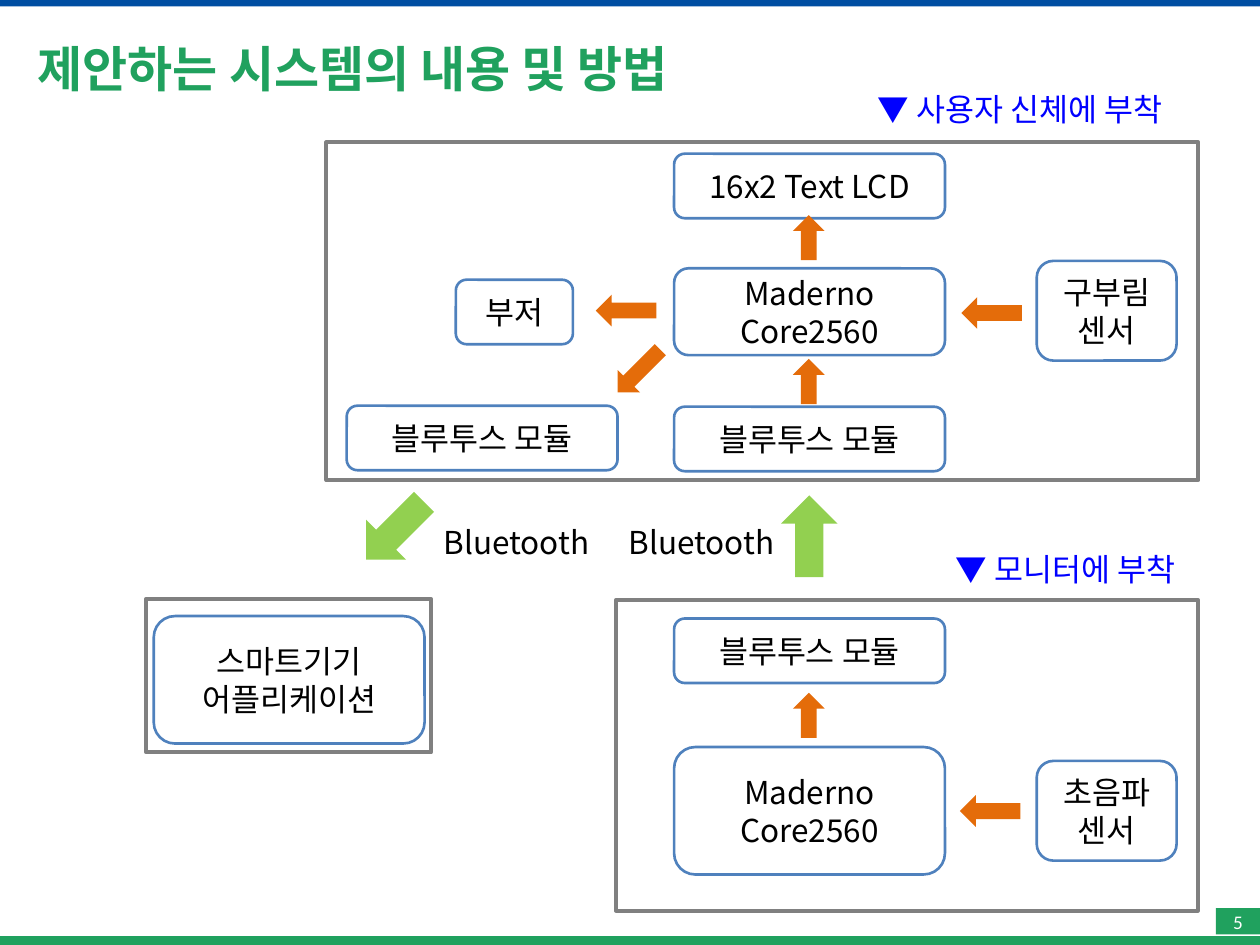
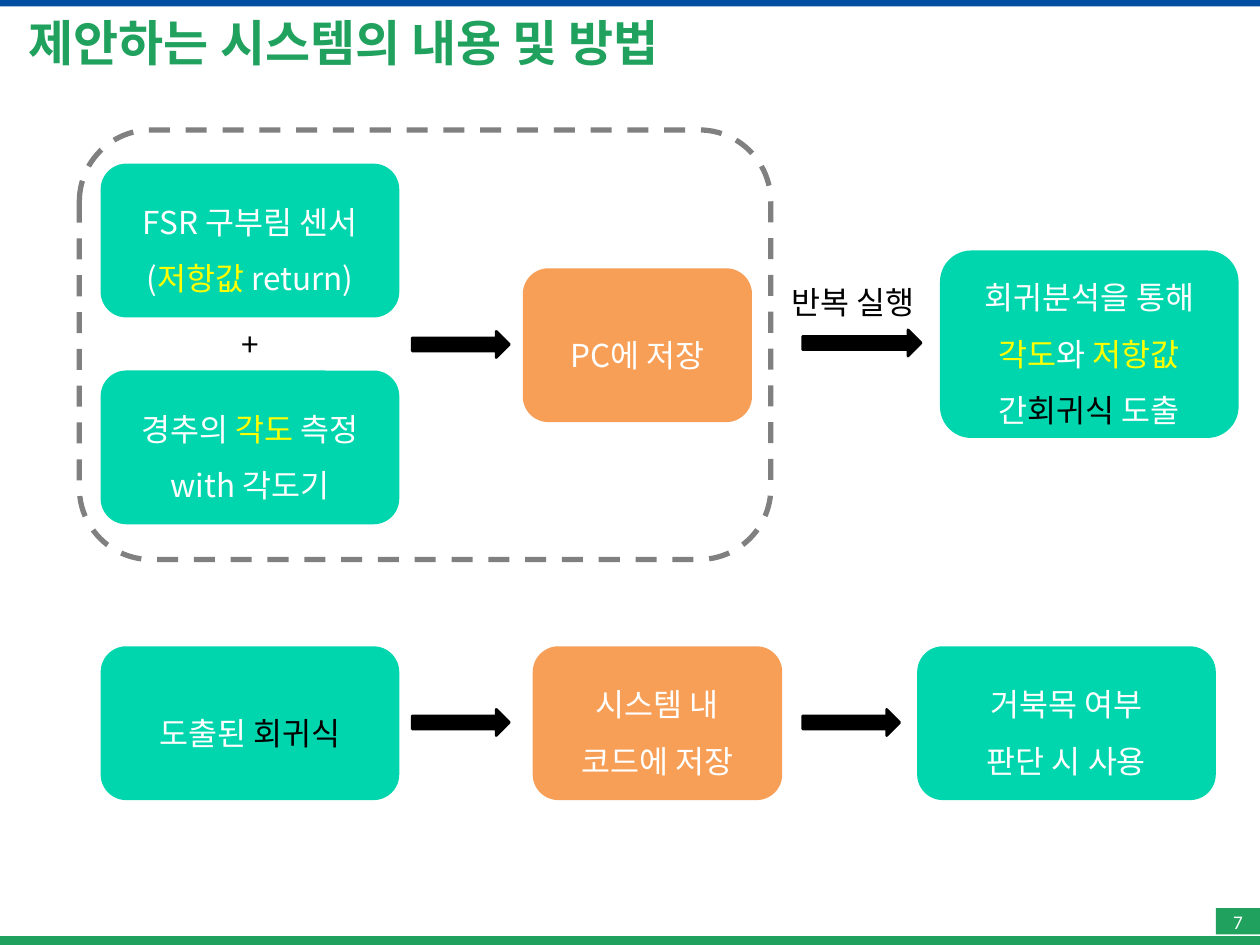
from pptx import Presentation
from pptx.dml.color import RGBColor
from pptx.enum.dml import MSO_LINE
from pptx.enum.shapes import MSO_SHAPE
from pptx.enum.text import MSO_ANCHOR, PP_ALIGN
from pptx.oxml.ns import qn
from pptx.util import Cm, Pt
from lxml.etree import SubElement

# Shared look
GREEN, NAVY, GRAY, BLUE = "20A15E", "004EA2", "808080", "4F81BD"
ORANGE, LIME, TEAL, PEACH = "E46C0A", "92D050", "00D6AD", "F79F57"
WHITE, BLACK, YELLOW, LABEL_BLUE = "FFFFFF", "000000", "FFFF00", "0000FF"
BODY_FONT, TITLE_FONT = "Noto Sans CJK KR", "Calibri"
TITLE = "제안하는 시스템의 내용 및 방법"
WIDTH, HEIGHT = 25.4, 19.05
LEFT, UP, DOWN_LEFT = 180, 270, 135


def color(value):
    return RGBColor.from_string(value)


def set_all(target, values):
    for name, value in values.items():
        setattr(target, name, value)


def place(shape, left, top, width, height):
    set_all(shape, {"left": Cm(left), "top": Cm(top),
                    "width": Cm(width), "height": Cm(height)})


def write(frame, paras, ink=BLACK, size=18, font=BODY_FONT, bold=False,
          align=PP_ALIGN.CENTER, spacing=None):
    """Each paragraph is a string or a list of strings and (string, colour) pairs."""
    for index, spans in enumerate(paras):
        para = frame.paragraphs[0] if index == 0 else frame.add_paragraph()
        set_all(para, {"alignment": align, "line_spacing": spacing})
        for span in [spans] if isinstance(spans, str) else spans:
            text, span_ink = (span, ink) if isinstance(span, str) else span
            for number, line in enumerate(text.split("\n")):
                if number:
                    para.add_line_break()
                run = para.add_run()
                run.text = line
                set_all(run.font, {"name": font, "size": Pt(size), "bold": bold})
                run.font.color.rgb = color(span_ink)
                latin = run.font._element.find(qn("a:latin"))
                east_asian = SubElement(run.font._element, qn("a:ea"), typeface=BODY_FONT)
                latin.addnext(east_asian)


def add_box(page, area, kind=MSO_SHAPE.RECTANGLE, fill=None, line=None, weight=1.5):
    box = page.shapes.add_shape(kind, *map(Cm, area))
    box.shadow.inherit = False
    if fill:
        box.fill.solid()
        box.fill.fore_color.rgb = color(fill)
    else:
        box.fill.background()
    if line:
        box.line.color.rgb = color(line)
        box.line.width = Pt(weight)
    else:
        box.line.fill.background()
    return box


def add_frame(page, *area):
    add_box(page, area, line=GRAY, weight=2.25)


def add_text_box(page, area, paras, fill=WHITE, line=BLUE, **style):
    box = add_box(page, area, MSO_SHAPE.ROUNDED_RECTANGLE, fill, line)
    set_all(box.text_frame, {"word_wrap": True, "vertical_anchor": MSO_ANCHOR.MIDDLE})
    write(box.text_frame, paras, **style)


def add_step(page, area, paras, fill=TEAL):
    add_text_box(page, area, paras, fill, None, ink=WHITE, spacing=1.5)


def add_arrow(page, area, fill, turn=0, line=None):
    add_box(page, area, MSO_SHAPE.RIGHT_ARROW, fill, line).rotation = turn


def add_label(page, area, text, ink=BLACK):
    frame = page.shapes.add_textbox(*map(Cm, area)).text_frame
    frame.word_wrap = True
    write(frame, [text], ink=ink, align=PP_ALIGN.LEFT)


def add_page(deck, number, title_left, title_top):
    page = deck.slides.add_slide(deck.slide_layouts[5])
    # Bands
    add_box(page, (0, 18.87, WIDTH, 0.18), fill=GREEN)
    add_box(page, (0, 0, WIDTH, 0.13), fill=NAVY)
    # Title
    title = page.shapes.title
    place(title, title_left, title_top, 24.41, 1.7)
    title.text_frame.vertical_anchor = MSO_ANCHOR.MIDDLE
    write(title.text_frame, [TITLE], GREEN, 28, TITLE_FONT, True, PP_ALIGN.LEFT)
    # Page number
    tab = add_box(page, (24.51, 18.31, 0.89, 0.53), fill=GREEN)
    set_all(tab.text_frame, {"margin_left": 0, "margin_right": 0, "margin_top": 0,
                             "margin_bottom": 0, "vertical_anchor": MSO_ANCHOR.MIDDLE})
    write(tab.text_frame, [str(number)], WHITE, 11, TITLE_FONT)
    return page


def build_system(deck):
    page = add_page(deck, 5, 0.51, 0.51)
    module_left, module_width, module_height = 13.59, 5.46, 1.3
    board = ["Maderno\nCore2560"]
    module = ["블루투스 모듈"]

    # Frames of the three devices
    add_frame(page, 6.58, 2.87, 17.58, 6.81)
    add_frame(page, 12.42, 12.09, 11.73, 6.27)
    add_frame(page, 2.95, 12.07, 5.74, 3.1)

    # Central column
    for top, height, paras in (
            (3.1, module_height, ["16x2 Text LCD"]), (5.41, 1.75, board),
            (8.2, module_height, module), (12.47, module_height, module),
            (15.06, 2.57, board)):
        add_text_box(page, (module_left, top, module_width, height), paras)

    # Sensors, buzzer, second module and application
    for top, name in ((5.26, "구부림"), (15.34, "초음파")):
        add_text_box(page, (20.9, top, 2.82, 2.01), [name, "센서"])
    add_text_box(page, (9.19, 5.64, 2.36, module_height), ["부저"])
    add_text_box(page, (6.99, 8.18, module_width, module_height), module)
    add_text_box(page, (3.1, 12.42, module_width, 2.57), ["스마트기기", "어플리케이션"])

    # Wired signals
    for top in (4.47, 7.37, 14.1):
        add_arrow(page, (15.85, top, 0.91, 0.64), ORANGE, UP)
    for left, top, turn in ((19.38, 5.99, LEFT), (12.01, 5.94, LEFT),
                            (19.35, 16.03, LEFT), (12.27, 7.16, DOWN_LEFT)):
        add_arrow(page, (left, top, 1.22, 0.64), ORANGE, turn)

    # Wireless signals
    for left, top, turn, label_left in ((15.49, 10.24, UP, 12.42),
                                        (7.14, 10.13, DOWN_LEFT, 8.69)):
        add_arrow(page, (left, top, 1.65, 1.14), LIME, turn)
        add_label(page, (label_left, 10.41, 3.66, 1.02), "Bluetooth")

    # Where each device is attached
    add_label(page, (17.45, 1.7, 6.73, 1.02), "▼ 사용자 신체에 부착", LABEL_BLUE)
    add_label(page, (19.02, 10.97, 5.13, 1.02), "▼ 모니터에 부착", LABEL_BLUE)


def build_method(deck):
    page = add_page(deck, 7, 0.33, 0)
    step_left, step_width, step_height = 2.03, 6.02, 3.1
    lower_top = 13.03

    # Repeated measurement
    add_step(page, (step_left, 3.3, step_width, step_height),
             ["FSR 구부림 센서", ["(", ("저항값 ", YELLOW), "return)"]])
    add_step(page, (step_left, 7.47, step_width, step_height),
             [["경추의 ", ("각도", YELLOW), " 측정"], "with 각도기"])
    add_label(page, (4.62, 6.43, 0.86, 1.07), "+")
    add_step(page, (10.54, 5.41, 4.62, step_height), ["PC에 저장"], PEACH)
    loop = add_box(page, (1.6, 2.62, 13.94, 8.66), MSO_SHAPE.ROUNDED_RECTANGLE,
                   line=GRAY, weight=3)
    loop.line.dash_style = MSO_LINE.DASH

    # Regression
    add_label(page, (15.7, 5.59, 3.38, 1.02), "반복 실행")
    add_step(page, (18.95, 5.05, step_width, 3.78),
             ["회귀분석을 통해",
              [("각도", YELLOW), "와 ", ("저항값 ", YELLOW), "간",
               ("회귀식", BLACK), " 도출"]])

    # Use of the result
    add_step(page, (step_left, lower_top, step_width, step_height),
             [["도출된 ", ("회귀식", BLACK)]])
    add_step(page, (10.74, lower_top, 5.03, step_height),
             ["시스템 내", "코드에 저장"], PEACH)
    add_step(page, (18.49, lower_top, step_width, step_height),
             ["거북목 여부", "판단 시 사용"])

    # Flow
    for left, top, width in ((8.31, 6.68, 1.96), (16.18, 6.65, 2.39),
                             (8.31, 14.3, 1.96), (16.18, 14.3, 1.96)):
        add_arrow(page, (left, top, width, 0.53), BLACK, line=BLACK)


def main():
    deck = Presentation()
    set_all(deck, {"slide_width": Cm(WIDTH), "slide_height": Cm(HEIGHT)})
    build_system(deck)
    build_method(deck)
    deck.save("out.pptx")


if __name__ == "__main__":
    main()
